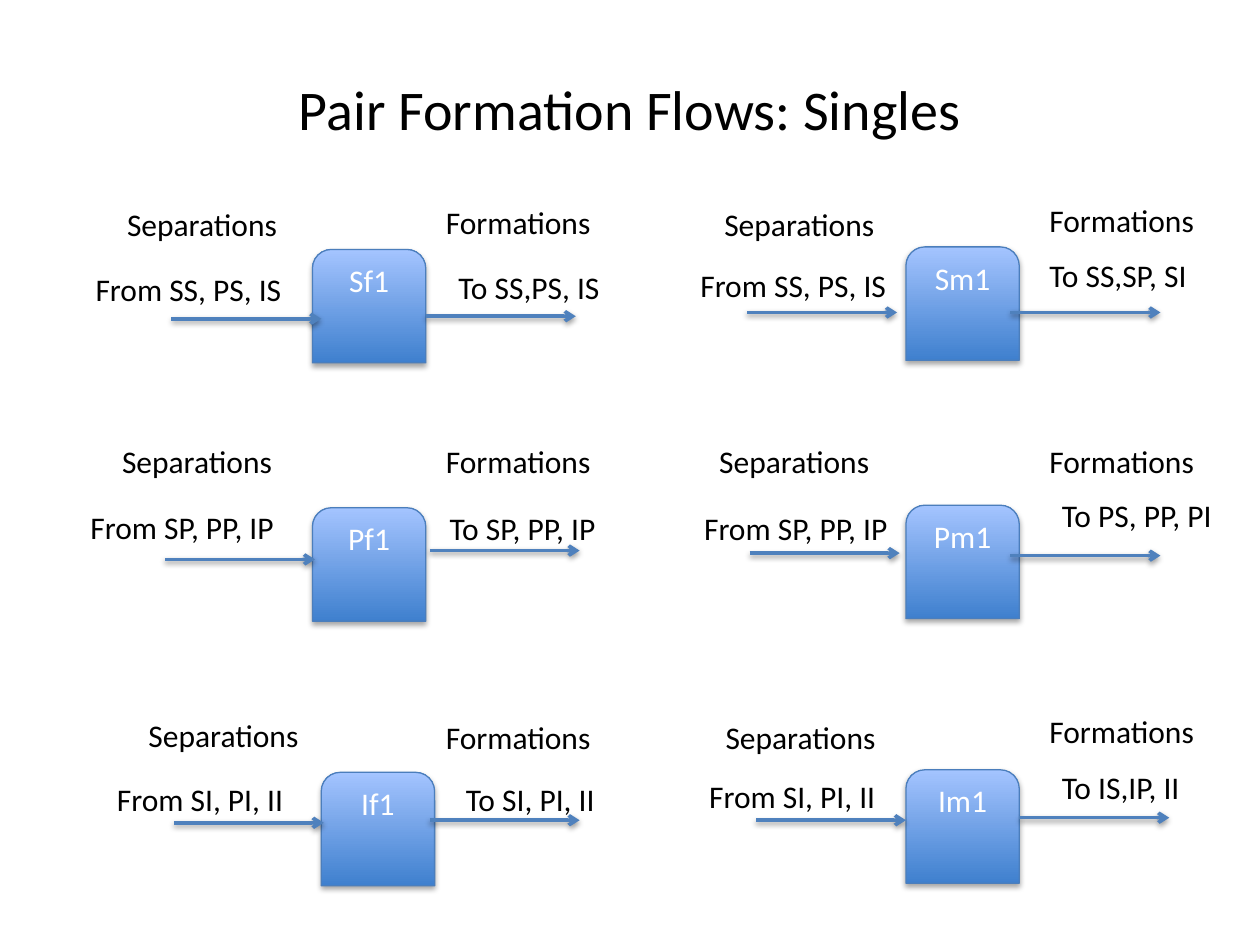
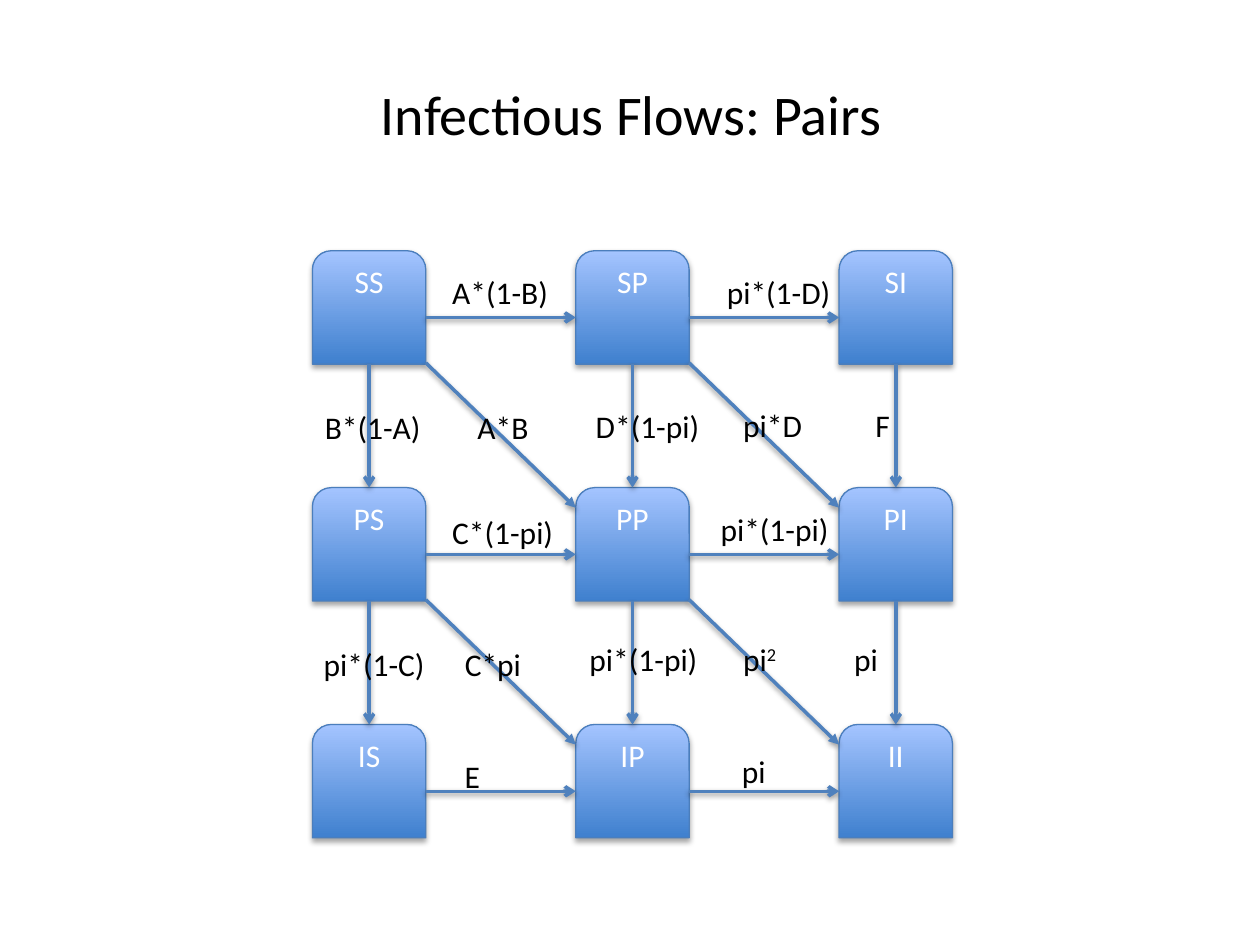
from itertools import product
from typing import NamedTuple

from lxml.etree import SubElement
from pptx import Presentation
from pptx.dml.color import RGBColor
from pptx.enum.shapes import MSO_CONNECTOR, MSO_SHAPE
from pptx.enum.text import MSO_ANCHOR, MSO_AUTO_SIZE, PP_ALIGN
from pptx.oxml.ns import qn
from pptx.util import Emu, Pt

PX = 9144
FONT = "Calibri"
BLACK, WHITE = "000000", "FFFFFF"
BOX_BOTTOM, BOX_TOP, BOX_EDGE = "3F80CE", "A4C4FF", "4B7EBC"
ARROW = "4F81BD"
BOX = 90
ARROW_LENGTH = 119
LABEL_HEIGHT = 40
TITLE_WIDTH, TITLE_HEIGHT = 762, 109
GRID_LEFT, GRID_TOP = 248, 199
COLUMN_STEP, ROW_STEP = 209, 188
STATES = "SPI"


class Label(NamedTuple):
    text: str
    x: int
    y: int
    w: int
    sup: str = ""


class Point(NamedTuple):
    x: int
    y: int


class SinglesFlow(NamedTuple):
    state: str
    box: Point
    inflow: Point
    outflow: Point
    separations: Point
    source: Label
    formations: Point
    target: Label


SINGLES = [
    SinglesFlow("Sf1", Point(248, 198), Point(136, 253), Point(338, 251),
                Point(91, 158), Label("From SS, PS, IS", 66, 209, 169),
                Point(344, 156), Label("To SS,PS, IS", 354, 208, 136)),
    SinglesFlow("Sm1", Point(719, 196), Point(593, 248), Point(802, 248),
                Point(565, 158), Label("From SS, PS, IS", 546, 206, 169),
                Point(823, 155), Label("To SS,SP, SI", 823, 198, 136)),
    SinglesFlow("Pf1", Point(248, 403), Point(131, 444), Point(341, 437),
                Point(87, 346), Label("From SP, PP, IP", 62, 398, 173),
                Point(344, 346), Label("To SP, PP, IP", 347, 399, 146)),
    SinglesFlow("Pm1", Point(719, 401), Point(595, 439), Point(802, 441),
                Point(561, 346), Label("From SP, PP, IP", 549, 399, 173),
                Point(823, 346), Label("To PS, PP, PI", 833, 389, 146)),
    SinglesFlow("If1", Point(255, 613), Point(138, 653), Point(341, 651),
                Point(108, 563), Label("From SI, PI, II", 83, 614, 154),
                Point(344, 565), Label("To SI, PI, II", 360, 614, 126)),
    SinglesFlow("Im1", Point(719, 611), Point(600, 651), Point(809, 649),
                Point(566, 565), Label("From SI, PI, II", 553, 612, 154),
                Point(823, 560), Label("To IS,IP, II", 833, 605, 120)),
]

PAIR_LABELS = [
    Label("A*(1-B)", 349, 212, 101),
    Label("pi*(1-D)", 567, 212, 107),
    Label("B*(1-A)", 248, 319, 100),
    Label("A*B", 369, 319, 65),
    Label("D*(1-pi)", 463, 318, 107),
    Label("pi*D", 580, 317, 71),
    Label("F", 685, 317, 33),
    Label("C*(1-pi)", 349, 402, 105),
    Label("pi*(1-pi)", 562, 400, 109),
    Label("pi*(1-C)", 247, 507, 105),
    Label("C*pi", 359, 507, 69),
    Label("pi*(1-pi)", 458, 503, 109),
    Label("pi", 580, 503, 49, "2"),
    Label("pi", 668, 503, 39),
    Label("E", 359, 596, 34),
    Label("pi", 579, 592, 39),
]


def px(n: int) -> Emu:
    return Emu(n * PX)


def rgb(value: str) -> RGBColor:
    return RGBColor.from_string(value)


def write(tf, text: str, *, size: int = 18, color: str = BLACK,
          align=PP_ALIGN.LEFT, anchor=MSO_ANCHOR.TOP, sup: str = "") -> None:
    tf.vertical_anchor = anchor
    p = tf.paragraphs[0]
    p.alignment = align
    for part in filter(None, (text, sup)):
        r = p.add_run()
        r.text = part
        r.font.name = FONT
        r.font.size = Pt(size)
        r.font.color.rgb = rgb(color)
    if sup:
        r.font._element.set("baseline", "30000")


def add_shadow(sp, distance: int, alpha: int) -> None:
    sp_pr = sp._element.spPr
    effects = sp_pr.find(qn("a:effectLst"))
    if effects is None:
        effects = SubElement(sp_pr, qn("a:effectLst"))
    shadow = SubElement(effects, qn("a:outerShdw"), blurRad="40000",
                        dist=str(distance), dir="5400000", rotWithShape="0")
    color = SubElement(shadow, qn("a:srgbClr"), val=BLACK)
    SubElement(color, qn("a:alpha"), val=str(alpha * 1000))


def add_titled_slide(prs, title: str, x: int, y: int):
    s = prs.slides.add_slide(prs.slide_layouts[5])
    sp = s.shapes.title
    sp.left, sp.top = px(x), px(y)
    sp.width, sp.height = px(TITLE_WIDTH), px(TITLE_HEIGHT)
    write(sp.text_frame, title, size=32, align=PP_ALIGN.CENTER,
          anchor=MSO_ANCHOR.MIDDLE)
    return s


def add_state(s, name: str, at: Point):
    sp = s.shapes.add_shape(MSO_SHAPE.ROUND_2_SAME_RECTANGLE,
                            px(at.x), px(at.y), px(BOX), px(BOX))
    sp.fill.gradient()
    sp.fill.gradient_angle = 90
    for stop, color in zip(sp.fill.gradient_stops, (BOX_BOTTOM, BOX_TOP)):
        stop.color.rgb = rgb(color)
    sp.line.color.rgb = rgb(BOX_EDGE)
    sp.line.width = Pt(0.75)
    sp.shadow.inherit = False
    add_shadow(sp, 23000, 35)
    write(sp.text_frame, name, color=WHITE, align=PP_ALIGN.CENTER)
    return sp


def add_arrow(s, start: Point, dx: int = ARROW_LENGTH, dy: int = 0,
              head: str = "arrow"):
    line = s.shapes.add_connector(MSO_CONNECTOR.STRAIGHT, px(start.x), px(start.y),
                                  px(start.x + dx), px(start.y + dy))
    line.line.color.rgb = rgb(ARROW)
    line.line.width = Pt(2)
    SubElement(line.line._get_or_add_ln(), qn("a:tailEnd"), type=head)
    add_shadow(line, 20000, 38)
    return line


def add_label(s, label: Label) -> None:
    sp = s.shapes.add_textbox(px(label.x), px(label.y), px(label.w), px(LABEL_HEIGHT))
    tf = sp.text_frame
    tf.word_wrap = False
    tf.auto_size = MSO_AUTO_SIZE.SHAPE_TO_FIT_TEXT
    write(tf, label.text, sup=label.sup)


def build_singles(prs) -> None:
    s = add_titled_slide(prs, "Pair Formation Flows: Singles", 119, 31)
    for flow in SINGLES:
        add_state(s, flow.state, flow.box)
        add_arrow(s, flow.inflow)
        add_arrow(s, flow.outflow)
        add_label(s, Label("Separations", *flow.separations, 141))
        add_label(s, flow.source)
        add_label(s, Label("Formations", *flow.formations, 137))
        add_label(s, flow.target)


def build_pairs(prs) -> None:
    s = add_titled_slide(prs, "Infectious Flows: Pairs", 120, 35)
    cells = list(product(range(3), repeat=2))
    corners = {(row, col): Point(GRID_LEFT + col * COLUMN_STEP, GRID_TOP + row * ROW_STEP)
               for row, col in cells}
    boxes = {(row, col): add_state(s, STATES[row] + STATES[col], corners[row, col])
             for row, col in cells}
    for row, col in cells:
        x, y = corners[row, col]
        if col < 2:
            add_arrow(s, Point(x + BOX, y + 53))
        if row < 2:
            down = add_arrow(s, Point(x + BOX // 2, y + BOX), 0, ROW_STEP - BOX)
            down.begin_connect(boxes[row, col], 2)
            down.end_connect(boxes[row + 1, col], 0)
        if row < 2 and col < 2:
            add_arrow(s, Point(x + BOX, y + 89), dy=115, head="triangle")
    for label in PAIR_LABELS:
        add_label(s, label)


def main() -> None:
    prs = Presentation()
    prs.slide_width, prs.slide_height = px(1000), px(750)
    build_singles(prs)
    build_pairs(prs)
    prs.save("out.pptx")


if __name__ == "__main__":
    main()
